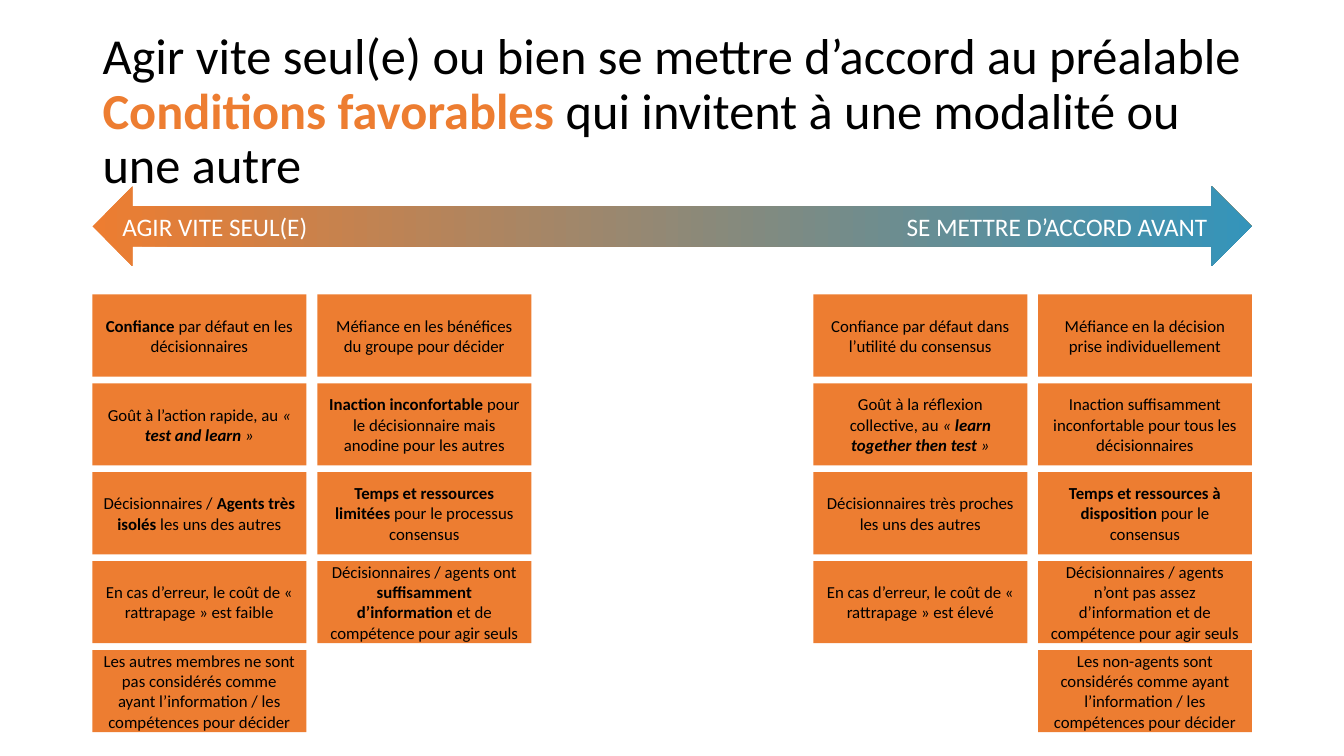
import dataclasses

import pptx
import pptx.dml.color
import pptx.enum.shapes
import pptx.enum.text
import pptx.oxml
import pptx.oxml.ns
import pptx.util
from pptx.util import Cm

ORANGE = pptx.dml.color.RGBColor(0xED, 0x7D, 0x31)
BLUE = pptx.dml.color.RGBColor(0x34, 0x94, 0xBA)
BLACK = pptx.dml.color.RGBColor(0, 0, 0)
WHITE = pptx.dml.color.RGBColor(255, 255, 255)

LEFT, WIDTH = Cm(2.33), Cm(29.21)
TOP, STEP = Cm(7.42), Cm(2.24)
BOX_W, BOX_H = Cm(5.39), Cm(2.07)


@dataclasses.dataclass
class Part:
    text: str
    bold: bool = False
    slant: bool = False
    color: pptx.dml.color.RGBColor = BLACK


@dataclasses.dataclass
class Column:
    left: int
    cells: list[list[Part]]


COLUMNS = [
    Column(LEFT, [
        [Part("Confiance ", bold=True), Part("par défaut en les décisionnaires")],
        [Part("Goût à l’action rapide, au "), Part("« ", slant=True),
         Part("test and learn ", bold=True, slant=True), Part("»", slant=True)],
        [Part("Décisionnaires / "), Part("Agents très isolés ", bold=True),
         Part("les uns des autres")],
        [Part("En cas d’erreur, le coût de « rattrapage » est faible")],
        [Part("Les autres membres ne sont pas considérés comme ayant "
              "l’information / les compétences pour décider")],
    ]),
    Column(Cm(8), [
        [Part("Méfiance en les bénéfices du groupe pour décider")],
        [Part("Inaction inconfortable ", bold=True),
         Part("pour le décisionnaire mais anodine pour les autres")],
        [Part("Temps et ressources limitées ", bold=True),
         Part("pour le processus consensus")],
        [Part("Décisionnaires / agents ont "),
         Part("suffisamment d’information ", bold=True),
         Part("et de compétence pour agir seuls")],
    ]),
    Column(Cm(20.5), [
        [Part("Confiance par défaut dans l’utilité du consensus")],
        [Part("Goût à la réflexion collective, au "), Part("« ", slant=True),
         Part("learn together then test ", bold=True, slant=True),
         Part("»", slant=True)],
        [Part("Décisionnaires très proches les uns des autres")],
        [Part("En cas d’erreur, le coût de « rattrapage » est élevé")],
    ]),
    Column(Cm(26.16), [
        [Part("Méfiance en la décision prise individuellement")],
        [Part("Inaction suffisamment inconfortable pour tous les décisionnaires")],
        [Part("Temps et ressources à disposition ", bold=True),
         Part("pour le consensus")],
        [Part("Décisionnaires / agents n’ont pas assez d’information et de "
              "compétence pour agir seuls")],
        [Part("Les non-agents sont considérés comme ayant l’information / "
              "les compétences pour décider")],
    ]),
]


def write(para, parts: list[Part], size: int) -> None:
    for part in parts:
        run = para.add_run()
        run.text = part.text
        font = run.font
        font.name = "Calibri"
        font.size = pptx.util.Pt(size)
        font.bold = part.bold
        font.italic = part.slant
        font.color.rgb = part.color


def add_box(slide, kind, left: int, top: int, width: int, height: int):
    shape = slide.shapes.add_shape(kind, left, top, width, height)
    shape.shadow.inherit = False
    shape.line.fill.background()
    frame = shape.text_frame
    frame.word_wrap = True
    frame.vertical_anchor = pptx.enum.text.MSO_ANCHOR.MIDDLE
    return shape


def add_title(slide) -> None:
    title = slide.shapes.title
    title.left, title.top = LEFT, Cm(1.01)
    title.width, title.height = WIDTH, Cm(3.68)
    frame = title.text_frame
    frame.auto_size = pptx.enum.text.MSO_AUTO_SIZE.NONE
    frame.word_wrap = True
    frame.vertical_anchor = pptx.enum.text.MSO_ANCHOR.MIDDLE
    para = frame.paragraphs[0]
    para.alignment = pptx.enum.text.PP_ALIGN.LEFT
    para.line_spacing = 0.9
    write(para, [Part("Agir vite seul(e) ou bien se mettre d’accord au préalable")], 36)
    para.add_line_break()
    write(para, [Part("Conditions favorables ", bold=True, color=ORANGE),
                 Part("qui invitent à une modalité ou une autre")], 36)


def add_arrow(slide) -> None:
    kind = pptx.enum.shapes.MSO_SHAPE.LEFT_RIGHT_ARROW
    arrow = add_box(slide, kind, LEFT, Cm(4.7), WIDTH, Cm(2.01))
    arrow.fill.gradient()
    arrow.fill.gradient_angle = 0
    for stop, color, place in zip(arrow.fill.gradient_stops, (ORANGE, BLUE), (0, 1)):
        stop.color.rgb = color
        stop.position = place
    para = arrow.text_frame.paragraphs[0]
    para.alignment = pptx.enum.text.PP_ALIGN.LEFT
    tabs = pptx.oxml.parse_xml(
        f'<a:tabLst {pptx.oxml.ns.nsdecls("a")}>'
        f'<a:tab pos="{Cm(27.35)}" algn="r"/></a:tabLst>')
    para._p.get_or_add_pPr().append(tabs)
    write(para, [Part("AGIR VITE SEUL(E)\t", color=WHITE),
                 Part("SE METTRE D’ACCORD AVANT", color=WHITE)], 18)


def add_column(slide, column: Column) -> None:
    kind = pptx.enum.shapes.MSO_SHAPE.RECTANGLE
    for row, parts in enumerate(column.cells):
        box = add_box(slide, kind, column.left, TOP + row * STEP, BOX_W, BOX_H)
        box.fill.solid()
        box.fill.fore_color.rgb = ORANGE
        para = box.text_frame.paragraphs[0]
        para.alignment = pptx.enum.text.PP_ALIGN.CENTER
        write(para, parts, 12)


def main() -> None:
    deck = pptx.Presentation()
    deck.slide_width, deck.slide_height = Cm(33.87), Cm(19.05)
    slide = deck.slides.add_slide(deck.slide_layouts.get_by_name("Title Only"))
    add_title(slide)
    add_arrow(slide)
    for column in COLUMNS:
        add_column(slide, column)
    deck.save("out.pptx")


if __name__ == "__main__":
    main()
